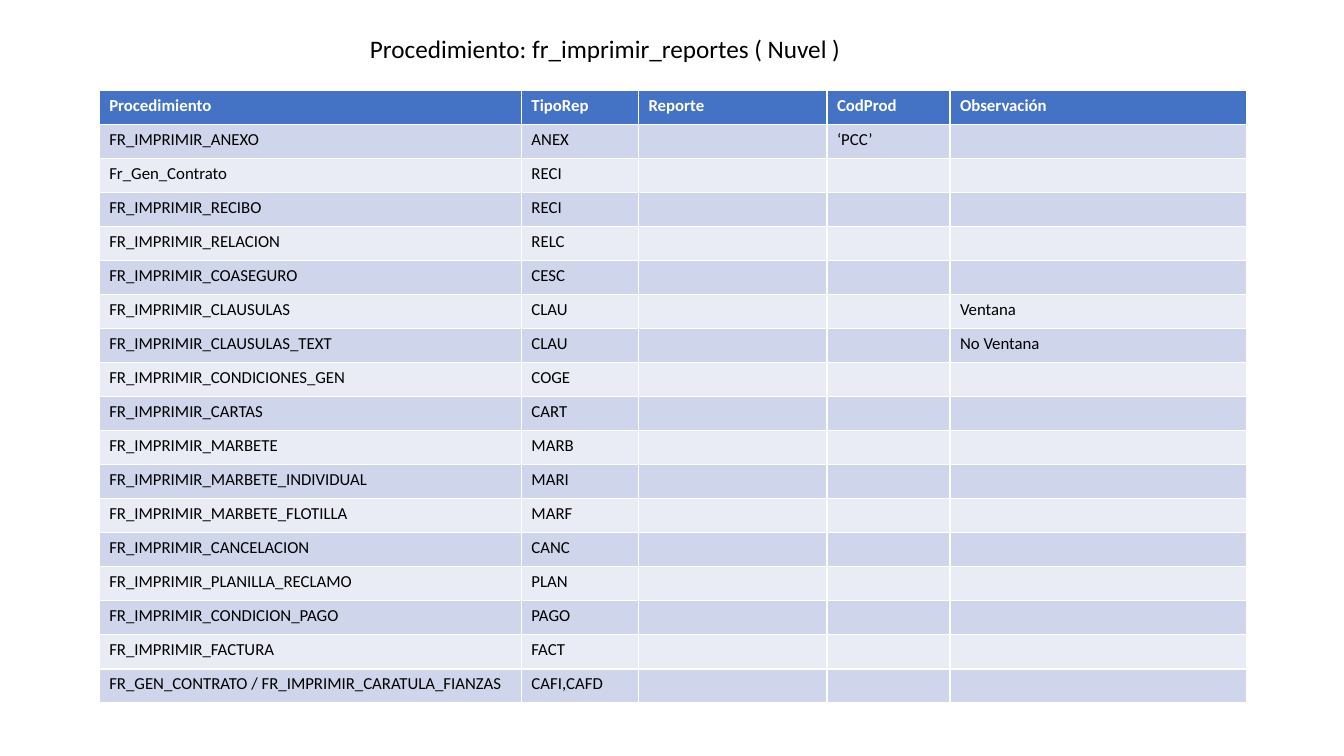
from lxml.etree import SubElement
from pptx import Presentation
from pptx.dml.color import RGBColor
from pptx.enum.text import MSO_ANCHOR, MSO_AUTO_SIZE, PP_ALIGN
from pptx.oxml.ns import qn
from pptx.util import Cm, Pt

FONT = "Calibri"
HEADER_FILL = "4472C4"
BAND_FILLS = ("CFD5EA", "E9EBF5")
HEADERS = ("Procedimiento", "TipoRep", "Reporte", "CodProd", "Observación")
COLUMN_SHARES = (10.64, 2.95, 4.75, 3.1, 7.47)
PROCEDURES = (
    ("FR_IMPRIMIR_ANEXO", "ANEX", "", "‘PCC’", ""),
    ("Fr_Gen_Contrato", "RECI"),
    ("FR_IMPRIMIR_RECIBO", "RECI"),
    ("FR_IMPRIMIR_RELACION", "RELC"),
    ("FR_IMPRIMIR_COASEGURO", "CESC"),
    ("FR_IMPRIMIR_CLAUSULAS", "CLAU", "", "", "Ventana"),
    ("FR_IMPRIMIR_CLAUSULAS_TEXT", "CLAU", "", "", "No Ventana"),
    ("FR_IMPRIMIR_CONDICIONES_GEN", "COGE"),
    ("FR_IMPRIMIR_CARTAS", "CART"),
    ("FR_IMPRIMIR_MARBETE", "MARB"),
    ("FR_IMPRIMIR_MARBETE_INDIVIDUAL", "MARI"),
    ("FR_IMPRIMIR_MARBETE_FLOTILLA", "MARF"),
    ("FR_IMPRIMIR_CANCELACION", "CANC"),
    ("FR_IMPRIMIR_PLANILLA_RECLAMO", "PLAN"),
    ("FR_IMPRIMIR_CONDICION_PAGO", "PAGO"),
    ("FR_IMPRIMIR_FACTURA", "FACT"),
    ("FR_GEN_CONTRATO / FR_IMPRIMIR_CARATULA_FIANZAS", "CAFI,CAFD"),
)


def color(hex_code):
    return RGBColor.from_string(hex_code)


def format_paragraph(para, size, hex_code, bold=False):
    para.alignment = PP_ALIGN.LEFT
    para.font.name = FONT
    para.font.size = Pt(size)
    para.font.bold = bold
    para.font.color.rgb = color(hex_code)


def place_title(page, text, left, top, width, height):
    title = page.shapes.title
    title.left, title.top, title.width, title.height = map(Cm, (left, top, width, height))
    frame = title.text_frame
    frame.text = text
    frame.word_wrap = False
    frame.auto_size = MSO_AUTO_SIZE.NONE
    frame.vertical_anchor = MSO_ANCHOR.TOP
    format_paragraph(frame.paragraphs[0], 18, "000000")


def fill_cell(cell, text, fill, hex_code, bold):
    cell.fill.solid()
    cell.fill.fore_color.rgb = color(fill)
    cell.text = text
    para = cell.text_frame.paragraphs[0]
    format_paragraph(para, 12, hex_code, bold)
    if not text:
        # Keeps the height of an empty cell at the table's text size
        SubElement(para._p, qn("a:endParaRPr")).set("sz", "1200")


def place_procedure_table(page, left, top, width, height):
    rows = (HEADERS,) + PROCEDURES
    table = page.shapes.add_table(
        len(rows), len(HEADERS), Cm(left), Cm(top), Cm(width), Cm(height)
    ).table
    for column, share in zip(table.columns, COLUMN_SHARES):
        column.width = Cm(width * share / sum(COLUMN_SHARES))
    for index, values in enumerate(rows):
        table.rows[index].height = Cm(height / len(rows))
        header = index == 0
        fill = HEADER_FILL if header else BAND_FILLS[(index - 1) % 2]
        for position in range(len(HEADERS)):
            text = values[position] if position < len(values) else ""
            fill_cell(table.cell(index, position), text, fill,
                      "FFFFFF" if header else "000000", header)


deck = Presentation()
deck.slide_width, deck.slide_height = Cm(33.87), Cm(19.05)
page = deck.slides.add_slide(deck.slide_layouts[5])

# Title
place_title(page, "Procedimiento: fr_imprimir_reportes ( Nuvel )", 9.07, 0.71, 12.37, 1.03)

# Table of procedures
place_procedure_table(page, 2.5, 2.27, 28.91, 15.45)

deck.save("out.pptx")
